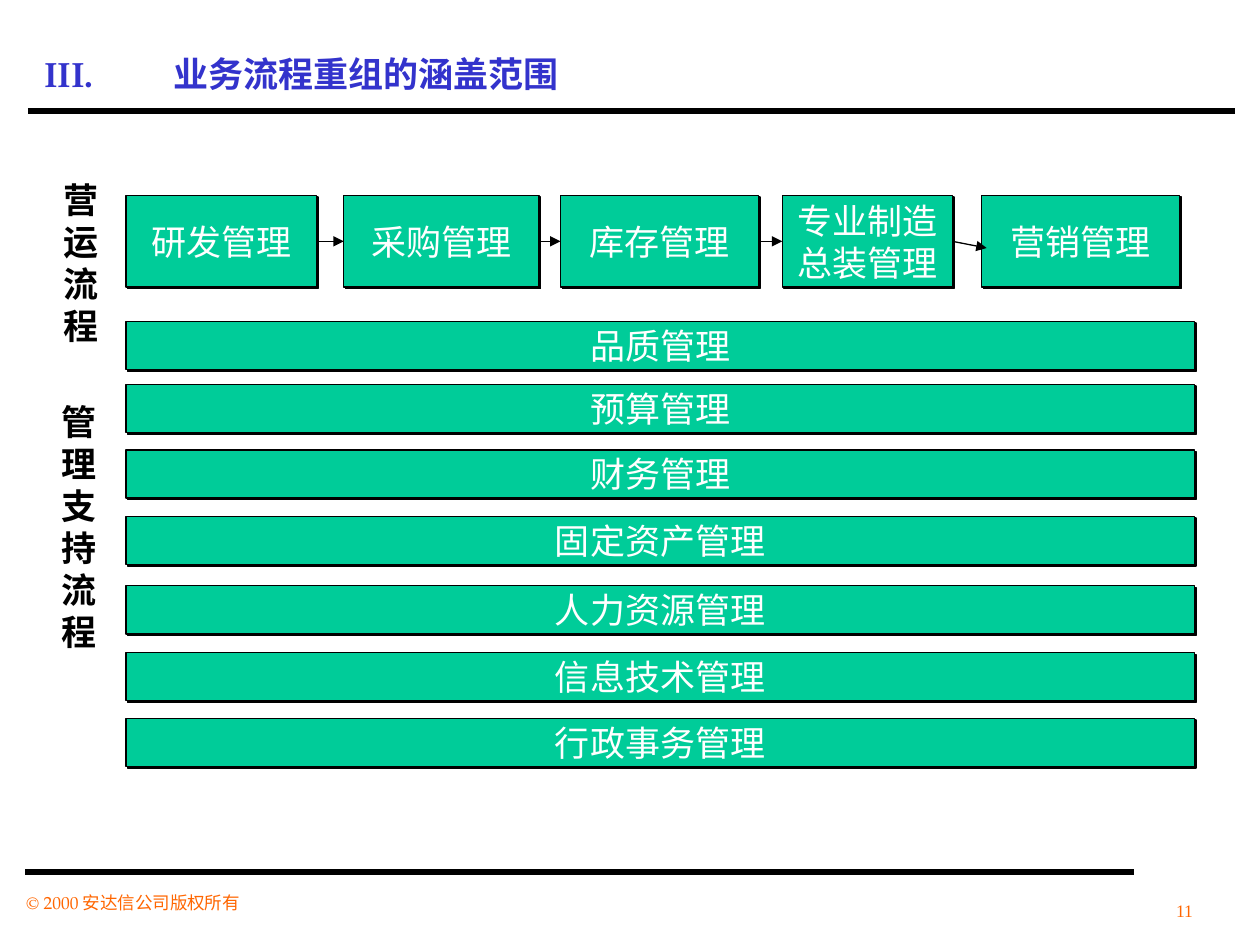
from lxml import etree
from pptx import Presentation
from pptx.dml.color import RGBColor
from pptx.enum.shapes import MSO_CONNECTOR, MSO_SHAPE
from pptx.enum.text import MSO_ANCHOR, PP_ALIGN
from pptx.oxml.ns import qn
from pptx.util import Cm, Pt

BLACK = RGBColor(0x00, 0x00, 0x00)
WHITE = RGBColor(0xFF, 0xFF, 0xFF)
GREEN = RGBColor(0x00, 0xCC, 0x99)
BLUE = RGBColor(0x33, 0x33, 0xCC)
ORANGE = RGBColor(0xFF, 0x66, 0x00)
SANS = "Noto Sans CJK SC"
SERIF = "TeX Gyre Pagella"
ROMAN = "Times New Roman"
LEFT, CENTER = PP_ALIGN.LEFT, PP_ALIGN.CENTER
TOP, MIDDLE = MSO_ANCHOR.TOP, MSO_ANCHOR.MIDDLE
RECTANGLE = MSO_SHAPE.RECTANGLE
STRAIGHT = MSO_CONNECTOR.STRAIGHT


def write_text(box, lines, font, color, align=LEFT, anchor=TOP, wrap=True, spacing=None, tab=None):
    frame = box.text_frame
    frame.word_wrap = wrap
    frame.vertical_anchor = anchor
    for index, line in enumerate(lines):
        para = frame.add_paragraph() if index else frame.paragraphs[0]
        if tab:
            stops = etree.SubElement(para._p.get_or_add_pPr(), qn("a:tabLst"))
            etree.SubElement(stops, qn("a:tab"), pos=str(tab), algn="l")
        para.alignment = align
        para.line_spacing = spacing
        span = para.add_run()
        span.text = line
        span.font.color.rgb = color
        for name, value in font.items():
            setattr(span.font, name, value)
        east_asian = etree.SubElement(span._r.get_or_add_rPr(), qn("a:ea"))
        east_asian.set("typeface", SANS)


def add_line(start, end, width, arrow=False):
    line = page.shapes.add_connector(STRAIGHT, *map(Cm, start + end))
    line.line.color.rgb = BLACK
    line.line.width = Pt(width)
    if arrow:
        etree.SubElement(line.line._get_or_add_ln(), qn("a:tailEnd"), type="triangle")
    etree.SubElement(line._element.spPr, qn("a:effectLst"))
    return line


deck = Presentation()
deck.slide_width, deck.slide_height = Cm(25.4), Cm(19.05)
page = deck.slides.add_slide(deck.slide_layouts[6])

add_line((0.51, 17.58), (22.86, 17.58), 3)
add_line((0.56, 2.24), (24.89, 2.24), 3)

bold_sans = {"name": SANS, "size": Pt(20), "bold": True}
texts = [
    ((0.28, 17.86, 5, 0.66), "© 2000 安达信公司版权所有",
     {"name": SERIF, "size": Pt(10)}, ORANGE, {"wrap": False}),
    ((22.89, 18.01, 1.98, 0.66), "11",
     {"name": ROMAN, "size": Pt(10)}, ORANGE, {"align": CENTER, "wrap": False}),
    ((0.64, 0.64, 19.56, 1.7), "III.\t业务流程重组的涵盖范围",
     {"name": SERIF, "size": Pt(20), "bold": True}, BLUE, {"anchor": MIDDLE, "tab": Cm(2.6)}),
    ((1.04, 3.48, 1.19, 3.66), "营运流程", bold_sans, BLACK, {"spacing": Pt(24)}),
    ((0.99, 7.95, 1.3, 5.33), "管理支持流程", bold_sans, BLACK, {"spacing": Pt(24)}),
]
for place, text, font, color, layout in texts:
    box = page.shapes.add_textbox(*map(Cm, place))
    write_text(box, [text], font, color, **layout)

step_top, step_height = 3.94, 1.85
steps = [
    (2.54, 3.84, ["研发管理"]),
    (6.93, 3.94, ["采购管理"]),
    (11.3, 3.99, ["库存管理"]),
    (15.77, 3.43, ["专业制造", "总装管理"]),
    (19.79, 3.99, ["营销管理"]),
]
supports = [
    (6.48, "品质管理"),
    (7.75, "预算管理"),
    (9.07, "财务管理"),
    (10.41, "固定资产管理"),
    (11.81, "人力资源管理"),
    (13.16, "信息技术管理"),
    (14.48, "行政事务管理"),
]
support_group = page.shapes.add_group_shape()
blocks = [(support_group.shapes, (2.54, top, 21.54, 0.97), [name]) for top, name in supports]
blocks += [(page.shapes, (left, step_top, width, step_height), lines) for left, width, lines in steps]

boxes = []
for shapes, place, lines in blocks:
    box = shapes.add_shape(RECTANGLE, *map(Cm, place))
    box.fill.solid()
    box.fill.fore_color.rgb = GREEN
    box.line.color.rgb = BLACK
    box.line.width = Pt(0.75)
    box.shadow.inherit = False
    effects = box._element.spPr.find(qn("a:effectLst"))
    shadow = etree.SubElement(effects, qn("a:outerShdw"), dist=str(Pt(1.4)), dir="2700000",
                              algn="ctr", rotWithShape="0")
    etree.SubElement(shadow, qn("a:srgbClr"), val=str(BLACK))
    write_text(box, lines, {"name": SANS, "size": Pt(20)}, WHITE, CENTER, MIDDLE,
               wrap=False, spacing=Pt(24) if len(lines) > 1 else None)
    boxes.append(box)

step_boxes = boxes[len(supports):]
step_middle = step_top + step_height / 2
for index, (left, width, lines) in enumerate(steps[:-1]):
    is_last = index == len(steps) - 2
    end = (19.89, 5) if is_last else (steps[index + 1][0], step_middle)
    arrow = add_line((left + width, step_middle), end, 0.75, arrow=True)
    arrow.begin_connect(step_boxes[index], 3)
    if not is_last:
        arrow.end_connect(step_boxes[index + 1], 1)

deck.save("out.pptx")
